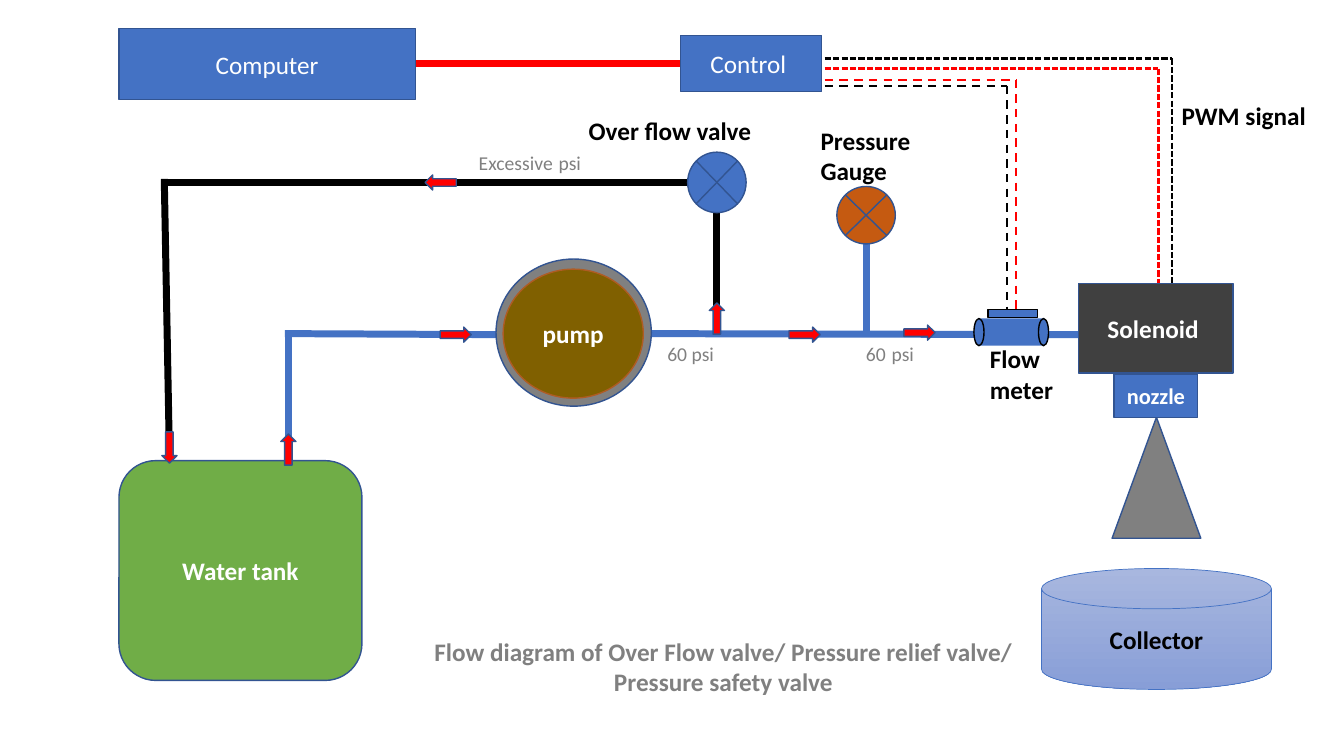
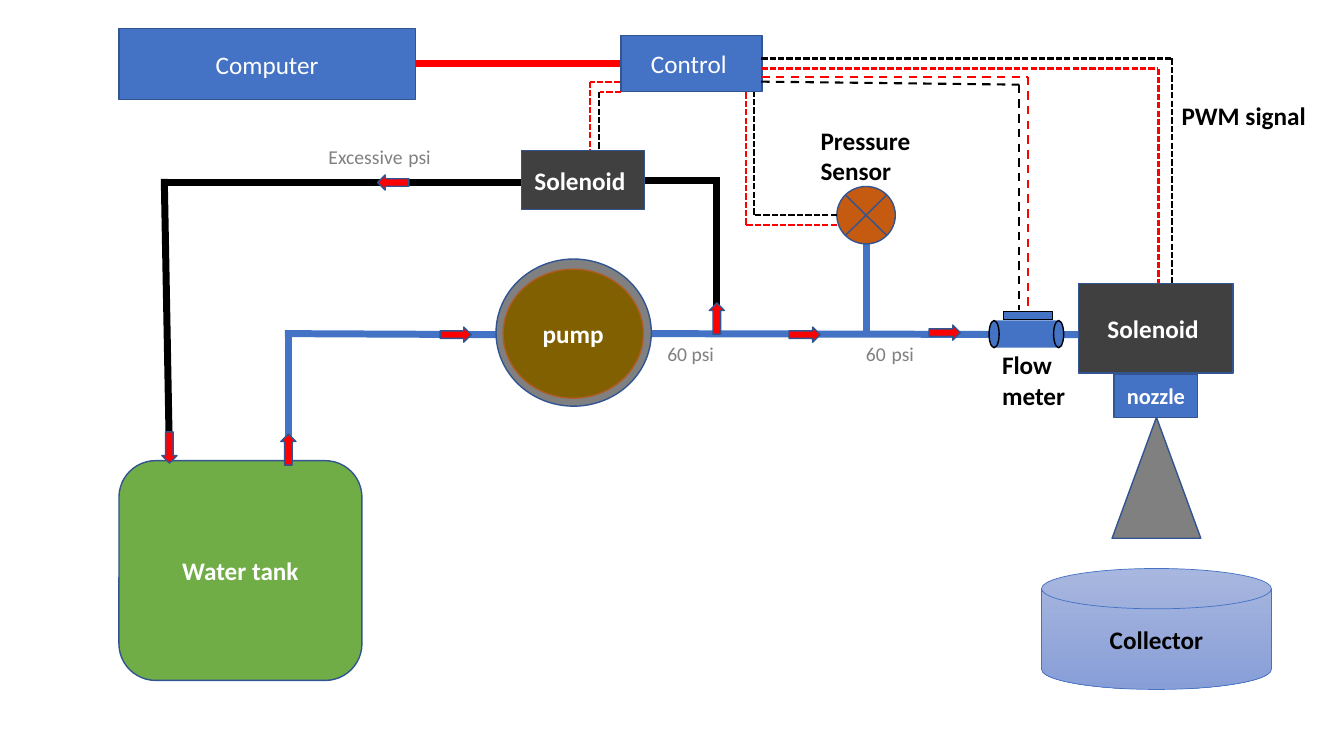
from dataclasses import dataclass
from itertools import pairwise
from typing import Any

from lxml.etree import SubElement
from pptx import Presentation
from pptx.dml.color import RGBColor
from pptx.enum.dml import MSO_LINE
from pptx.enum.shapes import MSO_CONNECTOR, MSO_SHAPE as Kind
from pptx.enum.text import MSO_ANCHOR, PP_ALIGN
from pptx.oxml.ns import qn
from pptx.util import Inches, Pt

COLORS = {
    "blue": "4472C4", "outline": "325491", "green": "70AD47",
    "grey": "808080", "dark": "404040", "olive": "806000",
    "rust": "AF5C24", "orange": "C55A11", "red": "FF0000",
    "black": "000000", "white": "FFFFFF",
    "pale": "A8B7DF", "lavender": "889ED7",
}
FONT = "Calibri"

# Text styles: size, colour, bold
BODY = (18, "white", True)
DEVICE = (18, "white", False)
SMALL_BODY = (16, "white", True)
HEADING = (18, "black", True)
CAPTION = (18, "grey", True)
NOTE = (14, "grey", False)
GAP = (18, "black", False)

# Line styles: width, dash
PIPE = (5, None)
POWER_WIRE = (1.5, MSO_LINE.SQUARE_DOT)
METER_WIRE = (1.5, MSO_LINE.DASH)

PIPE_Y = 3.32
RETURN_Y = 1.81
BRANCH_X = 7.11
ARROW_W, ARROW_H = 0.31, 0.15


def rgb(name):
    return RGBColor.from_string(COLORS[name])


def write(frame, paragraphs, align):
    """Fill a text frame; each paragraph is a list of (text, style) runs."""
    for index, runs in enumerate(paragraphs):
        paragraph = frame.add_paragraph() if index else frame.paragraphs[0]
        paragraph.alignment = align
        for text, (size, color, bold) in runs:
            run = paragraph.add_run()
            run.text = text
            run.font.name = FONT
            run.font.size = Pt(size)
            run.font.bold = bold
            run.font.color.rgb = rgb(color)


@dataclass(frozen=True)
class Region:
    """A drawing area whose parts are placed in inches from its corner."""
    shapes: Any
    left: float = 0
    top: float = 0

    def place(self, x, y):
        return Inches(self.left + x), Inches(self.top + y)

    def body(self, kind, x, y, w, h, fill, text="", style=BODY,
             outline="outline", weight=1):
        part = self.shapes.add_shape(kind, *self.place(x, y), Inches(w), Inches(h))
        part.shadow.inherit = False
        part.fill.solid()
        part.fill.fore_color.rgb = rgb(fill)
        if outline:
            part.line.color.rgb = rgb(outline)
            part.line.width = Pt(weight)
        else:
            part.line.fill.background()
        if text:
            part.text_frame.word_wrap = True
            part.text_frame.vertical_anchor = MSO_ANCHOR.MIDDLE
            write(part.text_frame, [[(text, style)]], PP_ALIGN.CENTER)
        return part

    def label(self, x, y, w, h, paragraphs, align=PP_ALIGN.LEFT):
        area = self.shapes.add_textbox(*self.place(x, y), Inches(w), Inches(h))
        area.text_frame.word_wrap = False
        write(area.text_frame, paragraphs, align)

    def route(self, color, style, *points):
        """Join successive points with straight connectors."""
        width, dash = style
        for start, end in pairwise(points):
            leg = self.shapes.add_connector(
                MSO_CONNECTOR.STRAIGHT, *self.place(*start), *self.place(*end))
            leg.line.color.rgb = rgb(color)
            leg.line.width = Pt(width)
            properties = leg.element.spPr
            if dash:
                leg.line.dash_style = dash
            else:
                properties.find(qn("a:ln")).set("cap", "sq")
            SubElement(properties, qn("a:effectLst"))

    def flow_arrow(self, x, y, rotation=0):
        """Place a flow arrow centred on a point."""
        arrow = self.body(Kind.RIGHT_ARROW, x - ARROW_W / 2, y - ARROW_H / 2,
                          ARROW_W, ARROW_H, "red")
        arrow.rotation = rotation


def heading(*lines):
    return [[(line, HEADING)] for line in lines]


def spaced_note(first, second):
    return [[(first, NOTE), (" ", GAP), (second, NOTE)]]


def water_supply(area):
    """Tank, pump and the pressure line to the spray station."""
    area.body(Kind.ROUNDED_RECTANGLE, 1.18, 4.57, 2.41, 2.18, "green", "Water tank")
    area.route("blue", PIPE, (2.86, 4.57), (2.86, 3.31), (4.92, PIPE_Y))
    area.route("blue", PIPE, (6.46, 3.31), (10.7, PIPE_Y))
    area.body(Kind.OVAL, 4.92, 2.57, 1.54, 1.46, "grey")
    area.body(Kind.OVAL, 4.99, 2.67, 1.39, 1.28, "olive", "pump", outline="rust")
    area.label(6.52, 3.34, 0.67, 0.34, [[("60 psi", NOTE)]])
    area.label(8.49, 3.29, 0.68, 0.4, spaced_note("60", "psi"))


def spray_station(area):
    """Solenoid, nozzle, spray cone and collector."""
    area.body(Kind.RECTANGLE, 0.37, 0, 1.53, 0.89, "dark", "Solenoid ")
    area.body(Kind.ISOSCELES_TRIANGLE, 0.7, 1.33, 0.88, 1.2, "grey")
    area.body(Kind.RECTANGLE, 0.72, 0.9, 0.83, 0.43, "blue", "nozzle", SMALL_BODY)
    collector = area.body(Kind.FLOWCHART_MAGNETIC_DISK, 0, 2.83, 2.28, 1.2, "pale",
                          "Collector", HEADING, outline="blue", weight=0.5)
    collector.fill.gradient()
    collector.fill.gradient_angle = 270
    for stop, color in zip(collector.fill.gradient_stops, ("pale", "lavender")):
        stop.color.rgb = rgb(color)


def return_line(area, outlet_x, arrow_x, note_x, note_y):
    """Black pipe that brings excess water back to the tank."""
    area.route("black", PIPE, (outlet_x, RETURN_Y), (1.63, RETURN_Y), (1.68, 4.5))
    area.label(note_x, note_y, 1.23, 0.4, spaced_note("Excessive", "psi"))
    area.flow_arrow(arrow_x, RETURN_Y, 180)


def pressure_reader(area, name):
    """Dial on a riser from the pressure line, with its two-line name."""
    area.route("blue", PIPE, (0.55, 2.1), (0.55, 1.23))
    area.body(Kind.FLOWCHART_SUMMING_JUNCTION, 0.26, 0.66, 0.58, 0.57, "orange")
    area.label(0, 0, 1.16, 0.71, heading("Pressure", name))


def flow_arrows(area, last_x):
    """Arrows along the pipes that both variants share."""
    for x, y, rotation in ((4.52, 3.32, 0), (7.98, 3.32, 0), (last_x, 3.3, 0),
                           (BRANCH_X, 3.16, 270), (2.86, 4.46, 270),
                           (1.68, 4.44, 90)):
        area.flow_arrow(x, y, rotation)


def flow_meter(area, label_x, label_y):
    meter = Region(area.shapes.add_group_shape().shapes, area.left, area.top)
    meter.body(Kind.RECTANGLE, 0.06, 0.09, 0.64, 0.27, "blue", outline=None)
    for end_x in (0, 0.64):
        meter.body(Kind.OVAL, end_x, 0.09, 0.1, 0.27, "blue", outline="black")
    meter.body(Kind.RECTANGLE, 0.14, 0, 0.49, 0.08, "blue", outline="black")
    area.label(label_x, label_y, 0.83, 0.71, heading("Flow", "meter"))


def controllers(area, board_x):
    """Computer linked to the control board."""
    area.route("red", PIPE, (2.94, 0.35), (board_x, 0.35))
    area.body(Kind.RECTANGLE, 0, 0, 2.94, 0.71, "blue", "Computer", DEVICE)
    area.body(Kind.RECTANGLE, board_x, 0.07, 1.4, 0.56, "blue", "Control ", DEVICE)


def signal_wires(area, start_x, meter_x, red_y, black_start_y, black_y):
    """Wire pairs from the board to the spray solenoid and the flow meter."""
    for color, x, y in (("black", 11.62, 0.58), ("red", 11.49, 0.68)):
        area.route(color, POWER_WIRE, (start_x, y), (x, y), (x, 2.81))
    area.route("black", METER_WIRE, (start_x, black_start_y),
               (meter_x, black_y), (meter_x, 3.08))
    red_x = meter_x + 0.09
    area.route("red", METER_WIRE, (start_x, red_y), (red_x, red_y), (red_x, 3.07))
    area.label(11.62, 0.95, 1.45, 0.4, heading("PWM signal"))


def overflow_valve(area):
    """Mechanical relief valve on the branch pipe."""
    area.route("black", PIPE, (BRANCH_X, 2.1), (BRANCH_X, 3.28))
    area.body(Kind.FLOWCHART_SUMMING_JUNCTION, 6.82, 1.51, 0.58, 0.6, "blue")
    area.label(5.74, 1.09, 1.82, 0.4, heading("Over flow valve"))


def relief_solenoid(area):
    """Electric relief valve and its wires, with those of the sensor."""
    area.route("black", PIPE, (6.4, 1.79), (BRANCH_X, 1.79), (BRANCH_X, 3.28))
    area.body(Kind.RECTANGLE, 5.17, 1.49, 1.22, 0.59, "dark", "Solenoid ")
    area.route("red", POWER_WIRE, (6.16, 0.91), (5.95, 0.91))
    area.route("black", POWER_WIRE, (5.94, 0.91), (5.94, 1.49))
    area.route("red", POWER_WIRE, (6.15, 0.81), (5.85, 0.81), (5.85, 1.48))
    for color, x, y in (("black", 7.48, 2.13), ("red", 7.4, 2.23)):
        area.route(color, POWER_WIRE, (8.3, y), (x, y), (x, 0.91))


def shared_plant(shapes, reader_name, board_x):
    """Parts found in both variants."""
    water_supply(Region(shapes))
    spray_station(Region(shapes, 10.33, 2.81))
    pressure_reader(Region(shapes, 8.04, 1.19), reader_name)
    controllers(Region(shapes, 1.18, 0.28), board_x)


def valve_slide(shapes):
    area = Region(shapes)
    shared_plant(shapes, "Gauge", 5.57)
    return_line(area, outlet_x=6.82, arrow_x=4.37, note_x=4.65, note_y=1.39)
    overflow_valve(area)
    flow_arrows(area, last_x=9.12)
    flow_meter(Region(shapes, 9.66, 3.07), 0.06, 0.29)
    signal_wires(area, 8.18, 9.99, red_y=0.79, black_start_y=0.85, black_y=0.85)
    area.label(4.16, 6.26, 6.03, 0.71, [
        [("Flow diagram of Over Flow valve/ Pressure relief valve/", CAPTION)],
        [("Pressure safety valve", CAPTION)],
    ], PP_ALIGN.CENTER)


def solenoid_slide(shapes):
    area = Region(shapes)
    shared_plant(shapes, "Sensor", 4.98)
    return_line(area, outlet_x=5.21, arrow_x=3.9, note_x=3.16, note_y=1.33)
    relief_solenoid(area)
    flow_arrows(area, last_x=9.37)
    flow_meter(Region(shapes, 9.81, 3.09), 0.03, 0.33)
    signal_wires(area, 7.55, 10.11, red_y=0.76, black_start_y=0.81, black_y=0.84)


def main():
    deck = Presentation()
    deck.slide_width, deck.slide_height = Inches(13.33), Inches(7.5)
    blank = deck.slide_layouts.get_by_name("Blank")
    for draw in (valve_slide, solenoid_slide):
        draw(deck.slides.add_slide(blank).shapes)
    deck.save("out.pptx")


if __name__ == "__main__":
    main()
